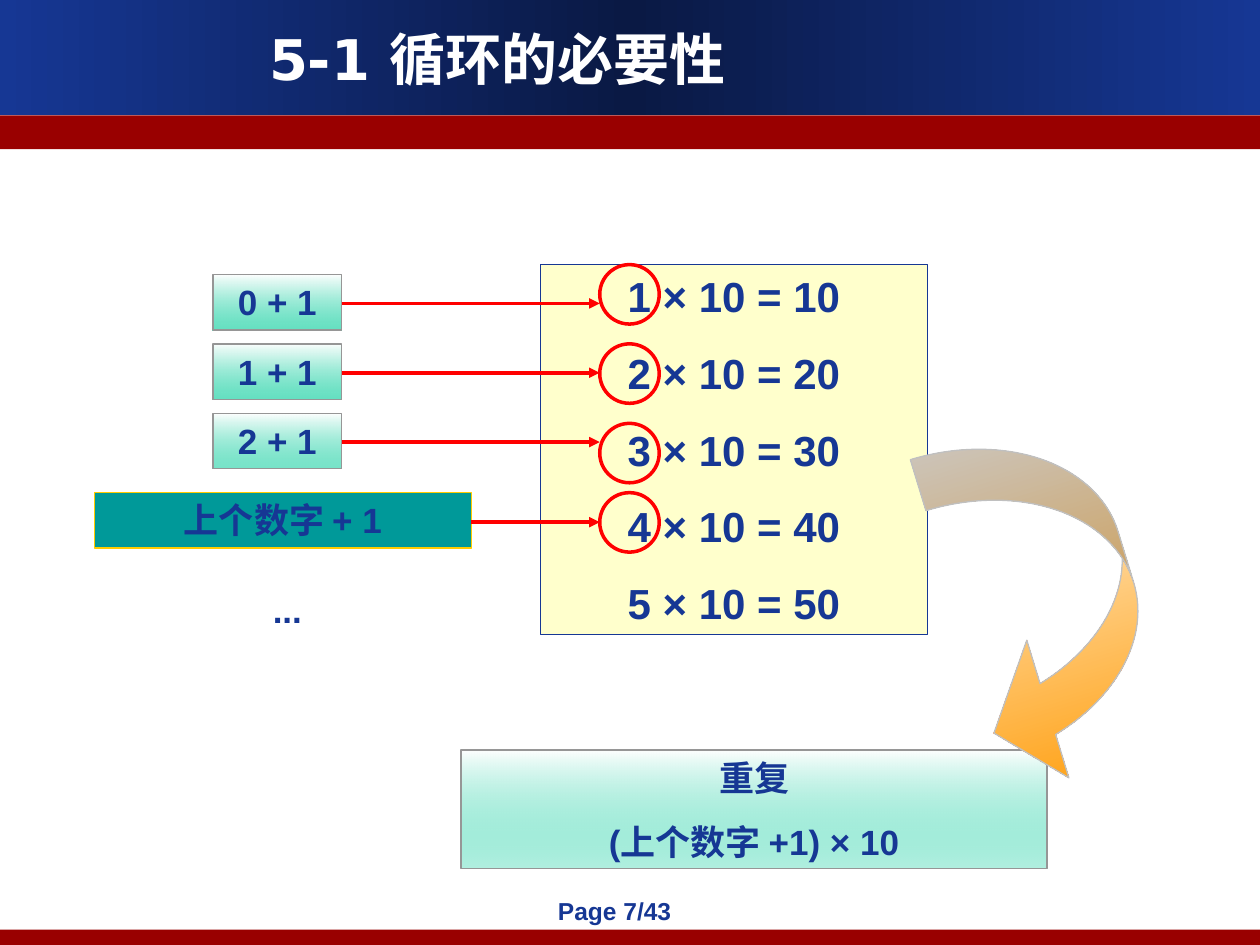
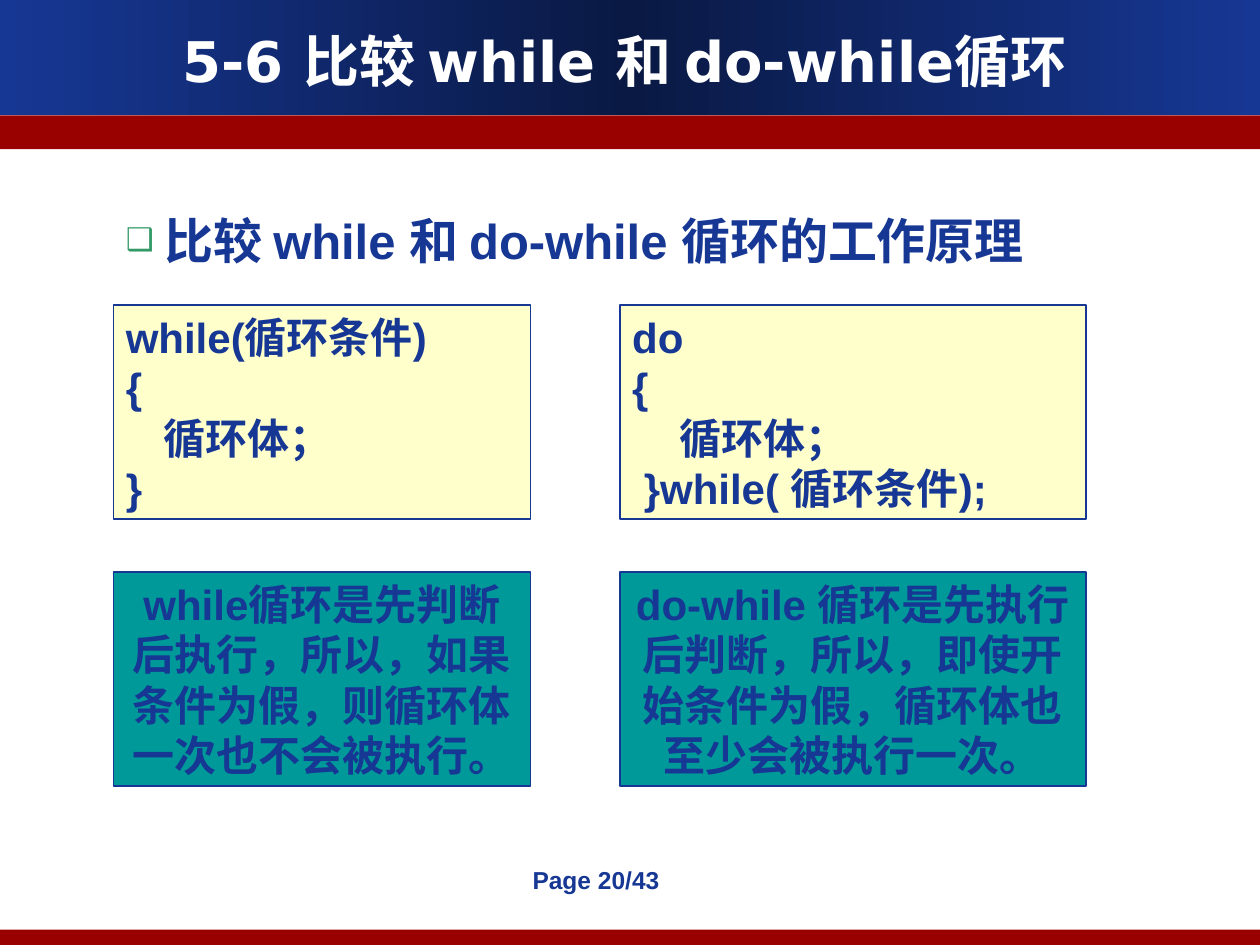
from lxml.etree import SubElement
from pptx import Presentation
from pptx.dml.color import RGBColor
from pptx.enum.shapes import MSO_CONNECTOR, MSO_SHAPE
from pptx.enum.text import MSO_ANCHOR, PP_ALIGN
from pptx.oxml.ns import qn
from pptx.util import Pt

SLIDE_WIDTH, SLIDE_HEIGHT = 720, 540
NAVY, MIDNIGHT, WHITE = "163794", "0A1944", "FFFFFF"
DARK_RED, RED, GRAY, SILVER = "990000", "FF0000", "969696", "C0C0C0"
CREAM, TEAL, GOLD, ORANGE = "FFFFCC", "009999", "FFCC00", "FF9900"
MINT, BULLET_GREEN = "00CC99", "339966"


def color(value):
    return RGBColor.from_string(value)


def fill_gradient(shape, stops, angle):
    """Fill with (position, hex, opacity) stops, all in percent."""
    shape.fill.gradient()
    shape.fill.gradient_angle = angle
    stop_list = shape._element.spPr.find(qn("a:gradFill")).find(qn("a:gsLst"))
    for stop in list(stop_list):
        stop_list.remove(stop)
    for position, value, opacity in stops:
        stop = SubElement(stop_list, qn("a:gs"), pos=str(position * 1000))
        stop_color = SubElement(stop, qn("a:srgbClr"), val=value)
        if opacity < 100:
            SubElement(stop_color, qn("a:alpha"), val=str(opacity * 1000))


def fade_down(shape, value, opacity=100):
    fill_gradient(shape, [(0, WHITE, 100), (100, value, opacity)], 270)


def add_figure(slide, kind, left, top, width, height,
               fill=None, line=None, line_width=0.75):
    shape = slide.shapes.add_shape(kind, Pt(left), Pt(top), Pt(width), Pt(height))
    shape.shadow.inherit = False
    if fill:
        shape.fill.solid()
        shape.fill.fore_color.rgb = color(fill)
    else:
        shape.fill.background()
    if line:
        shape.line.color.rgb = color(line)
        shape.line.width = Pt(line_width)
    else:
        shape.line.fill.background()
    return shape


def add_box(slide, *frame, **style):
    return add_figure(slide, MSO_SHAPE.RECTANGLE, *frame, **style)


def add_label(slide, left, top, width, height, text, **text_format):
    label = slide.shapes.add_textbox(Pt(left), Pt(top), Pt(width), Pt(height))
    write_text(label, text, **text_format)
    return label


def write_text(shape, text, size=24, font="Arial", font_color=NAVY,
               align=PP_ALIGN.CENTER, anchor=MSO_ANCHOR.TOP, gap=0, bullet=None):
    """Write one paragraph per line of text, with gap points between them."""
    frame = shape.text_frame
    frame.word_wrap = True
    frame.vertical_anchor = anchor
    for index, line in enumerate(text.split("\n")):
        paragraph = frame.add_paragraph() if index else frame.paragraphs[0]
        paragraph.alignment = align
        if index and gap:
            paragraph.space_before = Pt(gap)
        if bullet:
            set_bullet(paragraph, bullet)
        run = paragraph.add_run()
        run.text = line
        run.font.name = font
        run.font.size = Pt(size)
        run.font.bold = True
        run.font.color.rgb = color(font_color)


def set_bullet(paragraph, character, indent=22):
    properties = paragraph._p.get_or_add_pPr()
    properties.set("marL", str(Pt(indent)))
    properties.set("indent", str(-Pt(indent)))
    bullet_color = SubElement(properties, qn("a:buClr"))
    SubElement(bullet_color, qn("a:srgbClr"), val=BULLET_GREEN)
    SubElement(properties, qn("a:buSzPct"), val="64000")
    SubElement(properties, qn("a:buFont"), typeface="Arial")
    SubElement(properties, qn("a:buChar"), char=character)


def add_arrow(slide, start, end, y):
    arrow = slide.shapes.add_connector(
        MSO_CONNECTOR.STRAIGHT, Pt(start), Pt(y), Pt(end), Pt(y))
    arrow.line.color.rgb = color(RED)
    arrow.line.width = Pt(2)
    SubElement(arrow.line._get_or_add_ln(), qn("a:tailEnd"), type="triangle")
    SubElement(arrow._element.spPr, qn("a:effectLst"))


def add_framed_slide(presentation, title, title_frame, page, page_frame):
    """Add a slide with its bands, title and page number."""
    slide = presentation.slides.add_slide(presentation.slide_layouts[6])
    title_band = add_box(slide, 0, 0, SLIDE_WIDTH, 65.7)
    fill_gradient(title_band, [(0, NAVY, 100), (50, MIDNIGHT, 100), (100, NAVY, 100)], 0)
    for top, height in ((66, 19.3), (531.2, 8.8)):
        add_box(slide, 0, top, SLIDE_WIDTH, height, fill=DARK_RED)
    add_label(slide, *title_frame, title, size=32, font="DejaVu Sans",
              font_color=WHITE, anchor=MSO_ANCHOR.MIDDLE)
    add_label(slide, *page_frame, f"Page {page}/43", size=14)
    return slide


def build_necessity_slide(presentation):
    slide = add_framed_slide(presentation, "5-1 循环的必要性", (14.4, 0, 540, 66),
                             7, (303, 508.3, 96.5, 30))
    products = add_box(slide, 308.9, 151.2, 221, 211.5, fill=CREAM, line=NAVY)
    write_text(products, "\n".join(f"{n} × 10 = {n * 10}" for n in range(1, 6)), gap=15)

    circle_left, circle_size, row_height = 342.7, 34, 31.7
    for top in (151.2, 196.5, 241.9, 281.5):
        add_figure(slide, MSO_SHAPE.OVAL, circle_left, top, circle_size, circle_size,
                   line=RED, line_width=2)

    for number, opacity in enumerate((60, 60, 52)):
        top = 157 + number * 39.6
        sum_box = add_box(slide, 121.7, top, 73.7, row_height, line=GRAY)
        fade_down(sum_box, MINT, opacity)
        write_text(sum_box, f"{number} + 1", size=20)
        add_arrow(slide, 195.4, circle_left, top + 16.4)

    rule_top = 281.5
    rule_box = add_box(slide, 54, rule_top, 215.3, row_height, fill=TEAL, line=GOLD)
    write_text(rule_box, "上个数字 + 1", size=20)
    add_arrow(slide, 269.3, circle_left, rule_top + 16.9)
    add_label(slide, 127.4, 332.6, 73.7, row_height, "...", size=20)

    result = add_box(slide, 263.5, 428.6, 334.8, 67.9, line=GRAY)
    fade_down(result, MINT, 30)
    write_text(result, "重复\n(上个数字 +1) × 10", size=20, gap=12.5)

    curve = add_figure(slide, MSO_SHAPE.CURVED_LEFT_ARROW, 547.9, 243.4, 101.5, 204.5,
                       line=SILVER)
    for index, ratio in enumerate((0.3, 0.81, 0.33)):
        curve.adjustments[index] = ratio
    curve.rotation = 343
    fade_down(curve, ORANGE)


def build_comparison_slide(presentation):
    slide = add_framed_slide(presentation, "5-6 比较 while 和 do-while循环",
                             (23.8, 11.5, 666, 45.4), 20, (286.6, 491, 108, 30))
    add_label(slide, 64.8, 116.6, 589.7, 41, "比较 while 和 do-while 循环的工作原理",
              size=28, align=PP_ALIGN.LEFT, bullet="❑")

    loops = [
        (64.8, 238.3, "while(循环条件)\n{\n    循环体；\n}",
         "while循环是先判断后执行，所以，如果条件为假，则循环体一次也不会被执行。"),
        (354.2, 266.4, "do\n{\n     循环体；\n }while( 循环条件);",
         "do-while 循环是先执行后判断，所以，即使开始条件为假，循环体也至少会被执行一次。"),
    ]
    for left, width, code, explanation in loops:
        code_box = add_box(slide, left, 174.3, width, 122.4,
                           fill=CREAM, line=NAVY, line_width=1)
        write_text(code_box, code, align=PP_ALIGN.LEFT, anchor=MSO_ANCHOR.MIDDLE)
        explanation_box = add_box(slide, left, 326.9, width, 122.4,
                                  fill=TEAL, line=NAVY, line_width=1)
        write_text(explanation_box, explanation)


def main():
    presentation = Presentation()
    presentation.slide_width = Pt(SLIDE_WIDTH)
    presentation.slide_height = Pt(SLIDE_HEIGHT)
    build_necessity_slide(presentation)
    build_comparison_slide(presentation)
    presentation.save("out.pptx")


if __name__ == "__main__":
    main()
